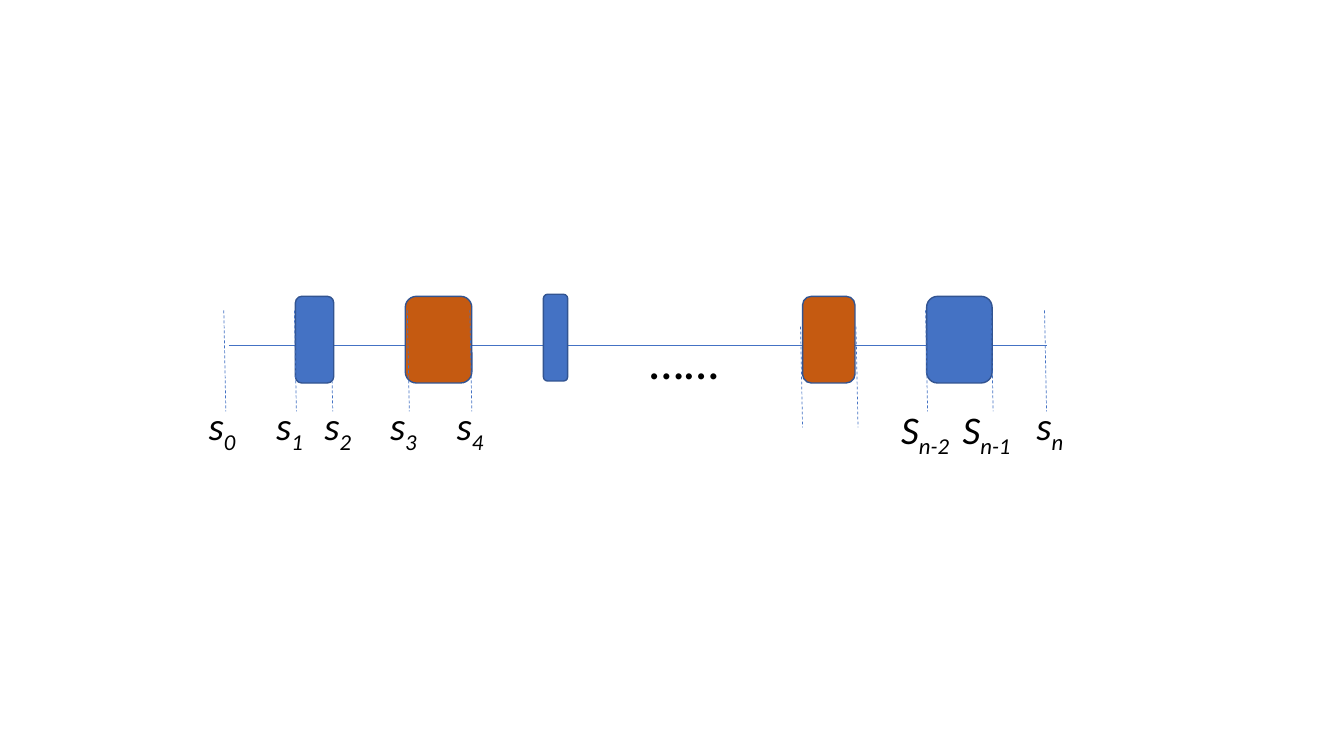
from lxml import etree
from pptx import Presentation
from pptx.dml.color import RGBColor
from pptx.enum.dml import MSO_LINE
from pptx.enum.shapes import MSO_CONNECTOR, MSO_SHAPE
from pptx.enum.text import MSO_AUTO_SIZE
from pptx.oxml.ns import qn
from pptx.util import Inches, Pt

BLUE = RGBColor(0x44, 0x72, 0xC4)
ORANGE = RGBColor(0xC5, 0x5A, 0x11)
OUTLINE = RGBColor(0x32, 0x54, 0x91)
BLACK = RGBColor(0, 0, 0)

presentation = Presentation()
presentation.slide_width = Inches(13.33)
presentation.slide_height = Inches(7.5)
slide = presentation.slides.add_slide(presentation.slide_layouts[6])


def add_line(x1, y1, x2, y2, dash=None):
    line = slide.shapes.add_connector(
        MSO_CONNECTOR.STRAIGHT, Inches(x1), Inches(y1), Inches(x2), Inches(y2))
    line.line.color.rgb = BLUE
    line.line.width = Pt(0.5)
    line.line.dash_style = dash
    etree.SubElement(line.element.spPr, qn("a:effectLst"))


def add_label(left, top, width, height, size, text, subscript=""):
    box = slide.shapes.add_textbox(
        Inches(left), Inches(top), Inches(width), Inches(height))
    box.text_frame.word_wrap = True
    box.text_frame.auto_size = MSO_AUTO_SIZE.SHAPE_TO_FIT_TEXT
    paragraph = box.text_frame.paragraphs[0]
    for part, baseline in ((text, None), (subscript, "-25000")):
        if not part:
            continue
        run = paragraph.add_run()
        run.text = part
        run.font.name = "Calibri"
        run.font.size = Pt(size)
        run.font.italic = True
        run.font.color.rgb = BLACK
        if baseline:
            run._r.get_or_add_rPr().set("baseline", baseline)


# Axis
add_line(2.27, 3.43, 10.38, 3.43)

# Segments on the axis: left, top, width, colour
segments = [
    (2.93, 2.94, 0.38, BLUE),
    (4.02, 2.94, 0.66, ORANGE),
    (5.39, 2.92, 0.24, BLUE),
    (7.96, 2.94, 0.52, ORANGE),
    (9.19, 2.94, 0.65, BLUE),
]
for left, top, width, colour in segments:
    segment = slide.shapes.add_shape(
        MSO_SHAPE.ROUNDED_RECTANGLE,
        Inches(left), Inches(top), Inches(width), Inches(0.86))
    segment.shadow.inherit = False
    segment.fill.solid()
    segment.fill.fore_color.rgb = colour
    segment.line.color.rgb = OUTLINE
    segment.line.width = Pt(1)

# Dashed boundary markers, one inch tall and slightly slanted
markers = [(2.22, 3.08), (2.92, 3.08), (3.28, 3.08), (4.04, 3.08), (4.66, 3.08),
           (7.94, 3.24), (8.49, 3.24), (9.18, 3.08), (9.83, 3.08), (10.36, 3.08)]
for x, top in markers:
    add_line(x, top, x + 0.02, top + 1, MSO_LINE.DASH)

# Boundary labels: left, top, width, letter, subscript
labels = [
    (1.97, 3.93, 0.66, "s", "0"),
    (2.64, 3.93, 0.9, "s", "1"),
    (3.12, 3.93, 0.87, "s", "2"),
    (3.77, 3.93, 1.1, "s", "3"),
    (4.43, 3.93, 1.08, "s", "4"),
    (8.84, 3.97, 1.41, "S", "n-2"),
    (9.45, 3.97, 1.36, "S", "n-1"),
    (10.18, 3.93, 1.34, "s", "n"),
]
for left, top, width, letter, subscript in labels:
    add_label(left, top, width, 0.57, 28, letter, subscript)

# Omitted segments
add_label(6.35, 3.22, 1.49, 0.71, 36, "……")

presentation.save("out.pptx")
